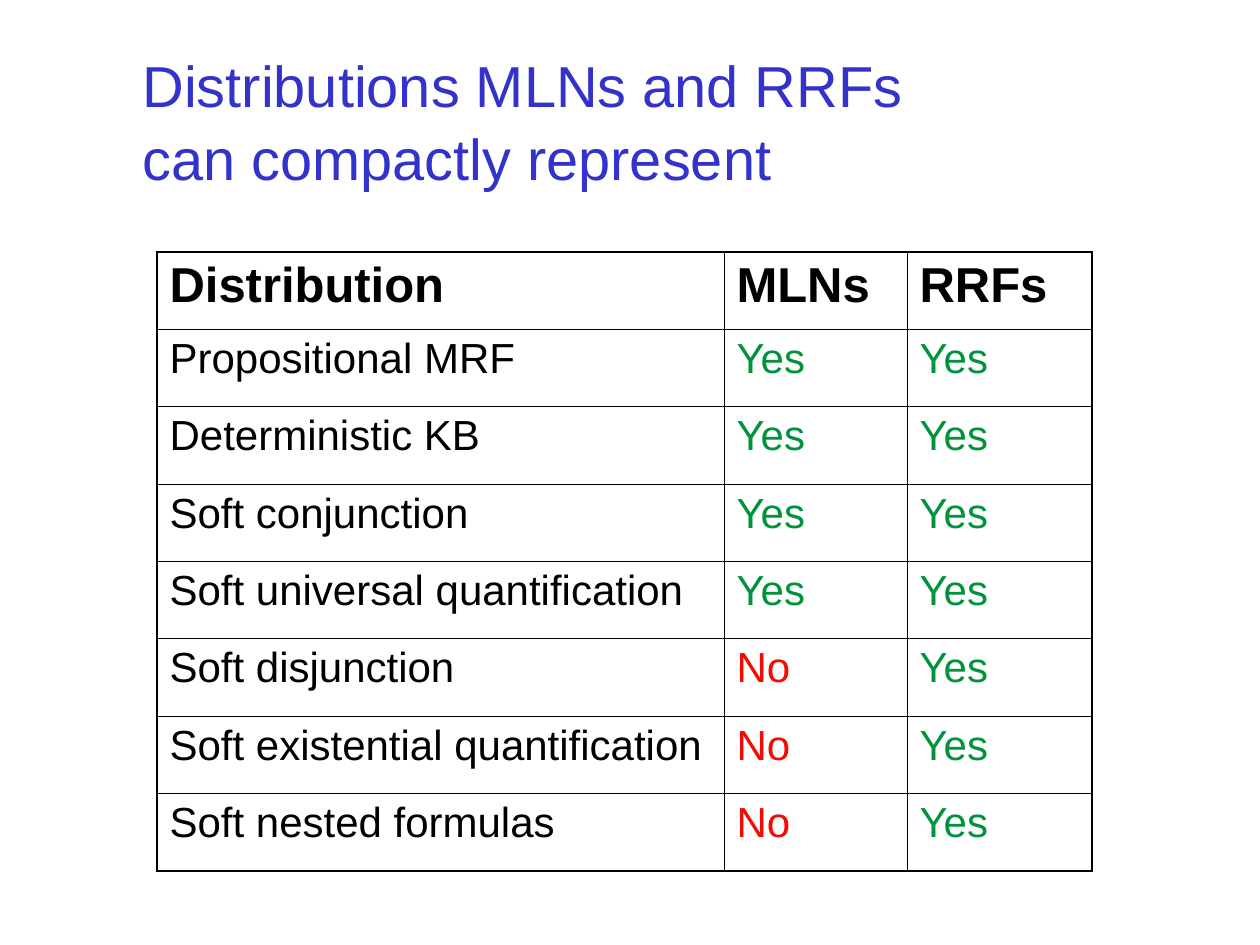
from pptx import Presentation
from pptx.dml.color import RGBColor
from pptx.enum.text import MSO_ANCHOR
from pptx.oxml.ns import qn
from pptx.util import Pt
from lxml import etree

PX = 914400 / 126
MIDDLE = MSO_ANCHOR.MIDDLE
BLUE = RGBColor(0x33, 0x33, 0xCC)
BLACK = RGBColor(0x00, 0x00, 0x00)
GREEN = RGBColor(0x00, 0x93, 0x3B)
RED = RGBColor(0xF4, 0x0A, 0x05)
ANSWER_COLORS = {"Yes": GREEN, "No": RED}
OUTER, INNER = Pt(1.08), Pt(0.45)


def px(length):
    return round(length * PX)


def style_font(font, size, color, bold=False):
    for name, value in {"name": "Arial", "size": Pt(size), "bold": bold}.items():
        setattr(font, name, value)
    font.color.rgb = color


prs = Presentation()
prs.slide_width, prs.slide_height = px(1260), px(945)
slide = prs.slides.add_slide(prs.slide_layouts[6])

# Title
title = slide.shapes.add_textbox(px(130), px(61), px(989), px(116)).text_frame
title.word_wrap = True
title.vertical_anchor = MIDDLE
heading = title.paragraphs[0]
heading.text = "Distributions MLNs and RRFs\vcan compactly represent"
heading.line_spacing = 1.05
style_font(heading.font, 33, BLUE)
for run in heading.runs:
    style_font(run.font, 33, BLUE)

# Table grid
ROWS = [
    ("Distribution", "MLNs", "RRFs"),
    ("Propositional MRF", "Yes", "Yes"),
    ("Deterministic KB", "Yes", "Yes"),
    ("Soft conjunction", "Yes", "Yes"),
    ("Soft universal quantification", "Yes", "Yes"),
    ("Soft disjunction", "No", "Yes"),
    ("Soft existential quantification", "No", "Yes"),
    ("Soft nested formulas", "No", "Yes"),
]
COLUMN_WIDTHS = (567, 183, 185)
last_row, last_column = len(ROWS) - 1, len(COLUMN_WIDTHS) - 1
distributions = slide.shapes.add_table(
    len(ROWS), len(COLUMN_WIDTHS), px(157), px(252), px(sum(COLUMN_WIDTHS)), px(619)
).table
distributions.first_row = False
distributions.horz_banding = False
for column, width in zip(distributions.columns, COLUMN_WIDTHS):
    column.width = px(width)

# Cell text and borders: thick around the table, thin inside
for r, row in enumerate(ROWS):
    for c, words in enumerate(row):
        cell = distributions.cell(r, c)
        cell.text = words
        style_font(
            cell.text_frame.paragraphs[0].runs[0].font,
            28 if r == 0 else 24,
            ANSWER_COLORS.get(words, BLACK),
            bold=r == 0,
        )
        cell_format = cell._tc.get_or_add_tcPr()
        on_edge = {"lnL": c == 0, "lnR": c == last_column,
                   "lnT": r == 0, "lnB": r == last_row}
        for side, outer in on_edge.items():
            border = etree.SubElement(cell_format, qn(f"a:{side}"))
            border.set("w", str(OUTER if outer else INNER))
            fill = etree.SubElement(border, qn("a:solidFill"))
            etree.SubElement(fill, qn("a:srgbClr")).set("val", str(BLACK))
        cell.fill.background()

prs.save("out.pptx")
